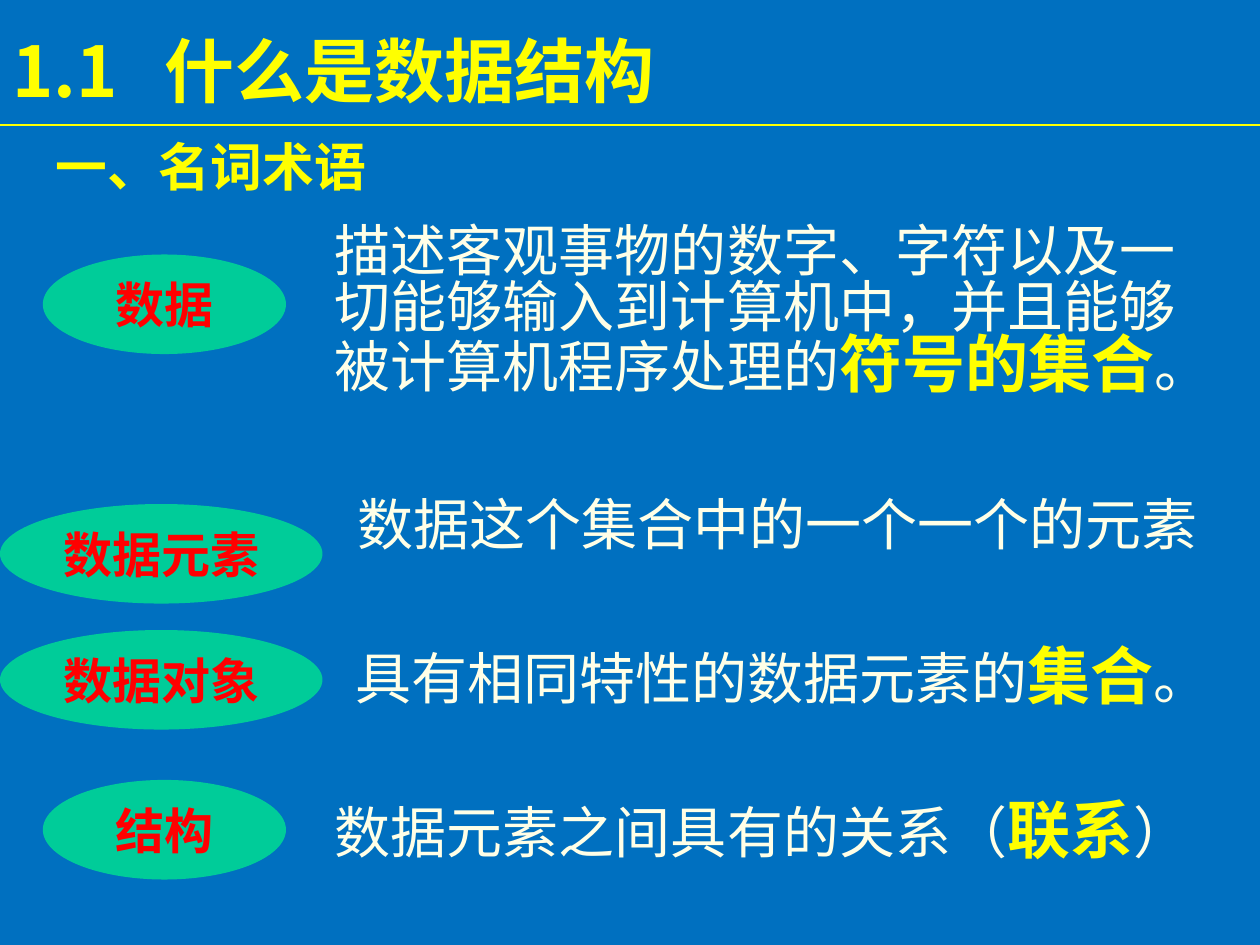
from dataclasses import dataclass

from lxml import etree
from pptx import Presentation
from pptx.dml.color import RGBColor
from pptx.enum import shapes, text
from pptx.oxml import ns
from pptx.util import Inches, Pt

COLORS = {
    "background": "0070C0",
    "heading": "FFFF00",
    "body": "FFFFE7",
    "oval": "00CC99",
    "term": "FF0000",
}
FONT = "Noto Sans CJK SC"
OVAL_HEIGHT = 0.79
BODY_SPACING = 0.82


@dataclass(frozen=True)
class Span:
    words: str
    size: float = 32
    color: str = "body"
    bold: bool = False


@dataclass(frozen=True)
class Box:
    left: float
    top: float
    width: float
    height: float

    def lengths(self) -> list[int]:
        return [Inches(n) for n in (self.left, self.top, self.width, self.height)]


@dataclass(frozen=True)
class Entry:
    term: str
    oval: Box
    meaning: Box
    spans: tuple[Span, ...]


def key(words: str) -> Span:
    """A highlighted part of a definition."""
    return Span(words, 36, "heading", True)


def wide_oval(top: float) -> Box:
    return Box(0, top, 2.56, OVAL_HEIGHT)


def narrow_oval(top: float) -> Box:
    return Box(0.34, top, 1.93, OVAL_HEIGHT)


ENTRIES = [
    Entry("数据", narrow_oval(2.02), Box(2.56, 1.76, 7.17, 1.77), (
        Span("描述客观事物的数字、字符以及一切能够输入到计算机中，并且能够被计算机程序处理的"),
        key("符号的集合"), Span("。"))),
    Entry("数据元素", wide_oval(4), Box(2.74, 3.93, 6.99, 0.64), (
        Span("数据这个集合中的一个一个的元素"),)),
    Entry("数据对象", wide_oval(5), Box(2.72, 5.11, 7.16, 0.7), (
        Span("具有相同特性的数据元素的"), key("集合"), Span("。"))),
    Entry("结构", narrow_oval(6.19), Box(2.56, 6.33, 7.46, 0.7), (
        Span("数据元素之间具有的关系（"), key("联系"), Span("）"))),
]


def rgb(name: str) -> RGBColor:
    return RGBColor.from_string(COLORS[name])


def write(paragraph, spans: tuple[Span, ...]) -> None:
    """Add the spans as runs, with the font set for Latin and Chinese text."""
    for span in spans:
        run = paragraph.add_run()
        run.text = span.words
        run.font.size = Pt(span.size)
        run.font.bold = span.bold
        run.font.color.rgb = rgb(span.color)
        run.font.name = FONT
        etree.SubElement(run.font._element, ns.qn("a:ea"), typeface=FONT)


def add_text(slide, box: Box, spans: tuple[Span, ...], spacing: float = 1.0,
             anchor=text.MSO_ANCHOR.TOP, tab: float | None = None) -> None:
    frame = slide.shapes.add_textbox(*box.lengths()).text_frame
    frame.word_wrap = True
    frame.vertical_anchor = anchor
    paragraph = frame.paragraphs[0]
    paragraph.line_spacing = spacing
    if tab is not None:
        stops = etree.SubElement(paragraph._p.get_or_add_pPr(), ns.qn("a:tabLst"))
        etree.SubElement(stops, ns.qn("a:tab"), pos=str(Inches(tab)), algn="l")
    write(paragraph, spans)


def add_term(slide, box: Box, term: str) -> None:
    oval = slide.shapes.add_shape(shapes.MSO_SHAPE.OVAL, *box.lengths())
    oval.shadow.inherit = False
    oval.fill.solid()
    oval.fill.fore_color.rgb = rgb("oval")
    oval.line.fill.background()
    frame = oval.text_frame
    frame.word_wrap = False
    frame.vertical_anchor = text.MSO_ANCHOR.MIDDLE
    paragraph = frame.paragraphs[0]
    paragraph.alignment = text.PP_ALIGN.CENTER
    write(paragraph, (Span(term, 28, "term", True),))


def add_rule(slide, top: float) -> None:
    rule = slide.shapes.add_connector(
        shapes.MSO_CONNECTOR.STRAIGHT, Inches(0), Inches(top), Inches(10), Inches(top))
    rule.line.color.rgb = rgb("heading")
    rule.line.width = Pt(1)
    etree.SubElement(rule._element.spPr, ns.qn("a:effectLst"))


def main() -> None:
    deck = Presentation()
    deck.slide_width, deck.slide_height = Inches(10), Inches(7.5)
    slide = deck.slides.add_slide(deck.slide_layouts[6])
    slide.background.fill.solid()
    slide.background.fill.fore_color.rgb = rgb("background")

    add_text(slide, Box(0.34, 1.02, 3.09, 0.68),
             (Span("一、名词术语", 29.6, "heading", True),))
    add_text(slide, Box(0, 0.18, 6.73, 0.75),
             (Span("1.1\t什么是数据结构", 40, "heading", True),),
             anchor=text.MSO_ANCHOR.MIDDLE, tab=1.21)
    add_rule(slide, 0.99)
    for entry in ENTRIES:
        add_term(slide, entry.oval, entry.term)
        add_text(slide, entry.meaning, entry.spans, BODY_SPACING)

    deck.save("out.pptx")


if __name__ == "__main__":
    main()
